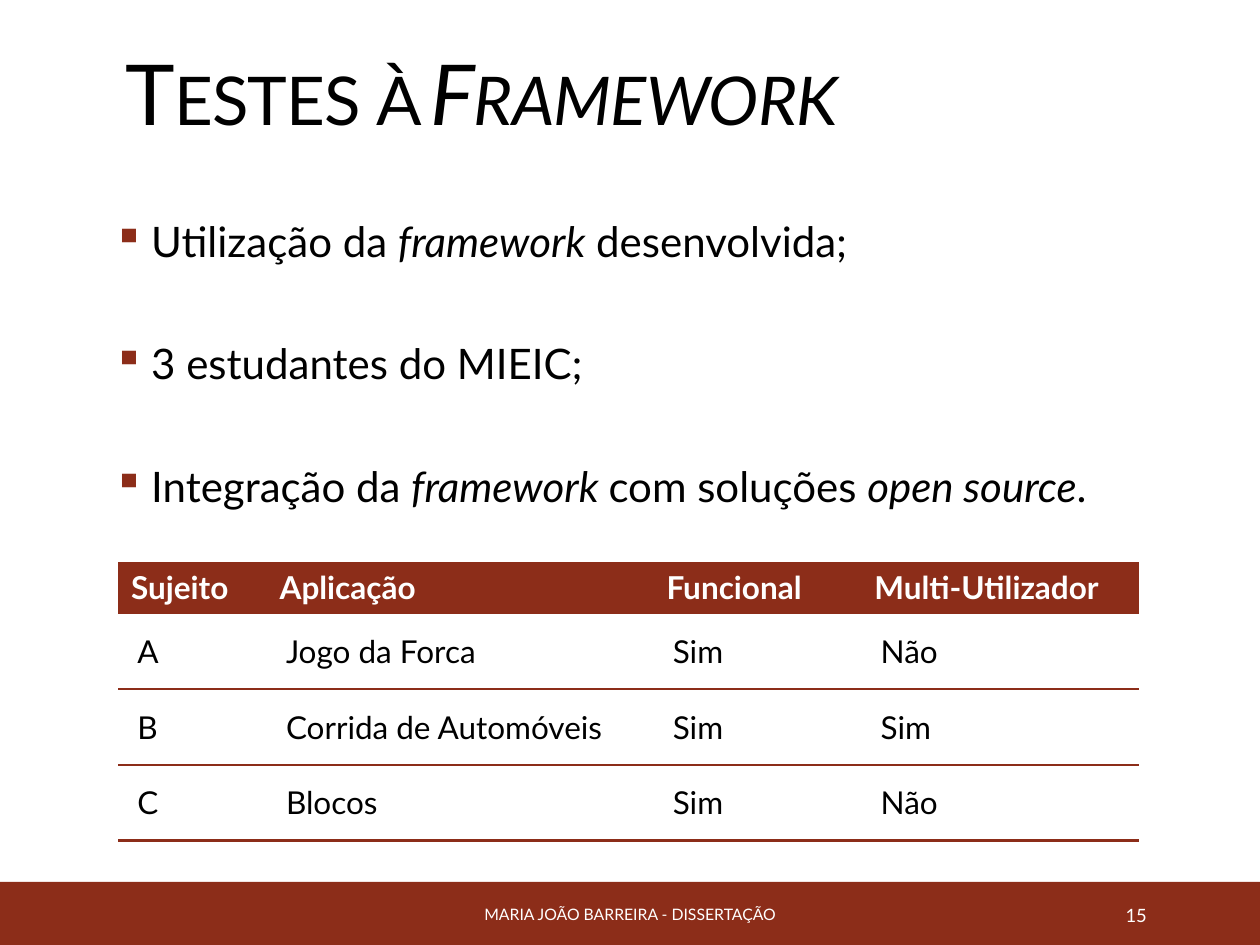
from lxml import etree
from pptx import Presentation
from pptx.dml.color import RGBColor
from pptx.enum.shapes import MSO_SHAPE
from pptx.enum.text import MSO_ANCHOR, PP_ALIGN
from pptx.oxml import parse_xml
from pptx.oxml.ns import nsdecls, qn
from pptx.util import Inches, Pt

RECTANGLE = MSO_SHAPE.RECTANGLE
MIDDLE = MSO_ANCHOR.MIDDLE
LEFT, CENTER, RIGHT = PP_ALIGN.LEFT, PP_ALIGN.CENTER, PP_ALIGN.RIGHT
COLORS = {"brick": "8C2D19", "ink": "000000", "paper": "FFFFFF"}
FONT = "Lato"
PLAIN_TABLE_STYLE = "{2D5ABB26-0587-4C30-8999-92F81FD0307C}"


def add_span(para, text, size, color, bold=False, italic=False):
    span = para.add_run()
    span.text = text
    font = span.font
    font.name, font.size, font.bold, font.italic = FONT, Pt(size), bold, italic
    font.color.rgb = RGBColor.from_string(COLORS[color])
    return span


def add_box(left, top, width, height, align=LEFT):
    """Add a wrapping, vertically centred text box and return its text frame."""
    box = page.shapes.add_textbox(Inches(left), Inches(top), Inches(width), Inches(height))
    frame = box.text_frame
    frame.word_wrap = True
    frame.vertical_anchor = MIDDLE
    frame.paragraphs[0].alignment = align
    return frame


deck = Presentation()
deck.slide_width, deck.slide_height = Inches(10), Inches(7.5)
page = deck.slides.add_slide(deck.slide_layouts[6])

# Footer band
band = page.shapes.add_shape(RECTANGLE, 0, Inches(7), deck.slide_width, Inches(0.5))
band.shadow.inherit = False
band.fill.solid()
band.fill.fore_color.rgb = RGBColor.from_string(COLORS["brick"])
band.line.fill.background()

footers = [
    ("MARIA JOÃO BARREIRA - DISSERTAÇÃO", 3.02, 3.96, 9, CENTER),
    ("15", 8.12, 1.08, 10.5, RIGHT),
]
for text, left, width, size, align in footers:
    frame = add_box(left, 7.06, width, 0.4, align)
    add_span(frame.paragraphs[0], text, size, "paper")

# Title in small capitals
title = add_box(0.9, 0, 8.25, 1.59).paragraphs[0]
title.line_spacing = 0.85
for text, italic in [("Testes à ", False), ("Framework", True)]:
    properties = add_span(title, text, 48, "ink", italic=italic).font._element
    properties.set("cap", "small")
    properties.set("spc", "-50")

# Bullets, each a list of (text, italic) spans
bullets = [
    [("Utilização da ", False), ("framework", True), (" desenvolvida;", False)],
    [("3 estudantes do MIEIC;", False)],
    [("Integração da ", False), ("framework ", True), ("com soluções ", False),
     ("open source", True), (".", False)],
]
body = add_box(0.9, 1.39, 8.12, 2.91)
body.margin_left = body.margin_right = 0
for index, spans in enumerate(bullets):
    para = body.add_paragraph() if index else body.paragraphs[0]
    para.line_spacing, para.space_before = Pt(34), Pt(36)
    properties = para._p.get_or_add_pPr()
    properties.set("marL", str(Inches(0.3)))
    properties.set("indent", str(-Inches(0.3)))
    bullet_color = etree.SubElement(properties, qn("a:buClr"))
    etree.SubElement(bullet_color, qn("a:srgbClr"), val=COLORS["brick"])
    etree.SubElement(properties, qn("a:buChar"), char="▪")
    for text, italic in spans:
        add_span(para, text, 24, "ink", italic=italic)

# Test results
results = [
    ["Sujeito", "Aplicação", "Funcional", "Multi-Utilizador"],
    ["A", "Jogo da Forca", "Sim", "Não"],
    ["B", "Corrida de Automóveis", "Sim", "Sim"],
    ["C", "Blocos", "Sim", "Não"],
]
column_widths = [1.18, 3.07, 1.65, 2.2]
row_heights = [0.41, 0.6, 0.6, 0.6]
holder = page.shapes.add_table(
    len(results), len(column_widths), Inches(0.94), Inches(4.46),
    Inches(sum(column_widths)), Inches(sum(row_heights)))
table = holder.table
table.horz_banding = False
table._tbl.tblPr.find(qn("a:tableStyleId")).text = PLAIN_TABLE_STYLE
for column, width in zip(table.columns, column_widths):
    column.width = Inches(width)

last_row = len(results) - 1
for row, texts in enumerate(results):
    table.rows[row].height = Inches(row_heights[row])
    for column, text in enumerate(texts):
        cell = table.cell(row, column)
        para = cell.text_frame.paragraphs[0]
        if row == 0:
            add_span(para, text, 18, "paper", bold=True)
            cell.fill.solid()
            cell.fill.fore_color.rgb = RGBColor.from_string(COLORS["brick"])
            continue
        add_span(para, text, 18, "ink")
        cell.fill.background()
        cell.vertical_anchor = MIDDLE
        cell.margin_left = cell.margin_right = Inches(0.15)
        cell.margin_top = cell.margin_bottom = Inches(0.15)
        borders = [("lnB", 2.25 if row == last_row else 1)]
        if row > 1:
            borders.insert(0, ("lnT", 1))
        for position, (side, weight) in enumerate(borders):
            cell._tc.get_or_add_tcPr().insert(position, parse_xml(
                f'<a:{side} {nsdecls("a")} w="{Pt(weight)}"><a:solidFill>'
                f'<a:srgbClr val="{COLORS["brick"]}"/></a:solidFill></a:{side}>'))

deck.save("out.pptx")
